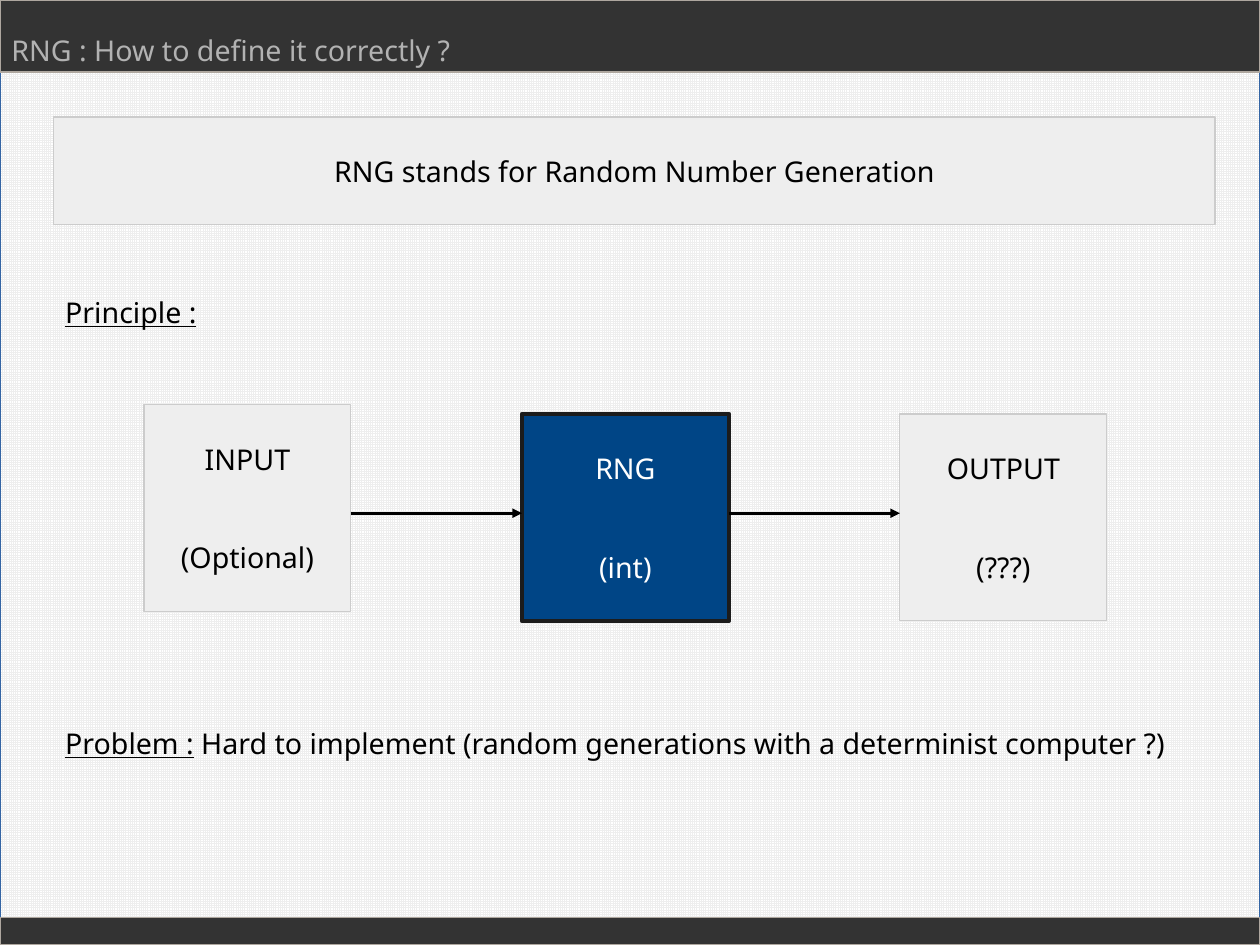
from lxml.etree import SubElement
from pptx import Presentation
from pptx.dml.color import RGBColor
from pptx.enum.dml import MSO_PATTERN
from pptx.enum.shapes import MSO_CONNECTOR, MSO_SHAPE
from pptx.enum.text import MSO_ANCHOR, MSO_AUTO_SIZE, PP_ALIGN
from pptx.oxml.ns import qn
from pptx.util import Pt

color = RGBColor.from_string
WIDTH, HEIGHT = 793.7, 595.3
HEADER_HEIGHT, FOOTER_TOP = 45.4, 578.2
MARGIN = 34
BOX_SIZE = 130.4
ARROW_Y = 323.3

presentation = Presentation()
presentation.slide_width, presentation.slide_height = Pt(WIDTH), Pt(HEIGHT)
slide = presentation.slides.add_slide(presentation.slide_layouts[5])
shapes = slide.shapes


def add_box(left, top, width, height, fill, line, line_width=0):
    box = shapes.add_shape(MSO_SHAPE.RECTANGLE, Pt(left), Pt(top), Pt(width), Pt(height))
    box.shadow.inherit = False
    box.fill.solid()
    box.fill.fore_color.rgb = color(fill)
    box.line.color.rgb = color(line)
    box.line.width = Pt(line_width)
    return box


def format_text(shape, text_color, alignment, anchor):
    frame = shape.text_frame
    frame.word_wrap = True
    frame.auto_size = MSO_AUTO_SIZE.NONE
    frame.vertical_anchor = anchor
    for paragraph in frame.paragraphs:
        paragraph.alignment = alignment
        for run in paragraph.runs:
            run.font.name = "Noto Sans"
            run.font.size = Pt(18)
            run.font.color.rgb = color(text_color)


# Background and bars
background = add_box(0, HEADER_HEIGHT, WIDTH, FOOTER_TOP - HEADER_HEIGHT, "EEEEEE", "3465A4")
background.fill.patterned()
background.fill.pattern = MSO_PATTERN.SMALL_GRID
background.fill.fore_color.rgb = color("EEEEEE")
background.fill.back_color.rgb = color("FFFFFF")
add_box(0, 0, WIDTH, HEADER_HEIGHT, "333333", "AEA79F")
add_box(0, FOOTER_TOP, WIDTH, HEIGHT - FOOTER_TOP, "333333", "AEA79F")

# Title, raised above the header bar
title = shapes.title
title.left, title.top, title.width, title.height = Pt(0), Pt(17), Pt(312), Pt(32)
title.text_frame.text = "RNG : How to define it correctly ?"
format_text(title, "B2B2B2", PP_ALIGN.LEFT, MSO_ANCHOR.TOP)
shapes.element.append(title.element)

# Definition
definition = add_box(MARGIN, 73.7, 731.4, 68, "EEEEEE", "CCCCCC")
definition.text_frame.text = "RNG stands for Random Number Generation"
format_text(definition, "000000", PP_ALIGN.CENTER, MSO_ANCHOR.MIDDLE)

# Underlined labels, with the text that follows them
for top, width, label, remark in [
    (182, 249, "Principle :", ""),
    (453.5, 709, "Problem :", " Hard to implement (random generations with a determinist computer ?)"),
]:
    text_box = shapes.add_textbox(Pt(MARGIN), Pt(top), Pt(width), Pt(32))
    paragraph = text_box.text_frame.paragraphs[0]
    label_run = paragraph.add_run()
    label_run.text = label
    label_run.font.underline = True
    if remark:
        paragraph.add_run().text = remark
    format_text(text_box, "000000", PP_ALIGN.LEFT, MSO_ANCHOR.TOP)

# Input, generator and output
GREY = ("EEEEEE", "CCCCCC", 0)
BLUE = ("004586", "1C1C1C", 2.83)
box_lefts = [90.7, 328.8, 566.9]
for left, top, name, detail, style, text_color in zip(
    box_lefts,
    [255, 260.8, 260.8],
    ["INPUT", "RNG", "OUTPUT"],
    ["(Optional)", "(int)", "(???)"],
    [GREY, BLUE, GREY],
    ["000000", "FFFFFF", "000000"],
):
    box = add_box(left, top, BOX_SIZE, BOX_SIZE, *style)
    box.text_frame.text = f"{name}\n{detail}"
    box.text_frame.paragraphs[1].space_before = Pt(40.4)
    format_text(box, text_color, PP_ALIGN.CENTER, MSO_ANCHOR.MIDDLE)

# Arrows between neighbouring boxes
for left, next_left in zip(box_lefts, box_lefts[1:]):
    arrow = shapes.add_connector(
        MSO_CONNECTOR.STRAIGHT, Pt(left + BOX_SIZE), Pt(ARROW_Y), Pt(next_left), Pt(ARROW_Y)
    )
    arrow.line.color.rgb = color("000000")
    arrow.line.width = Pt(0)
    properties = arrow.element.spPr
    SubElement(properties.find(qn("a:ln")), qn("a:tailEnd"), type="triangle")
    SubElement(properties, qn("a:effectLst"))

presentation.save("out.pptx")
